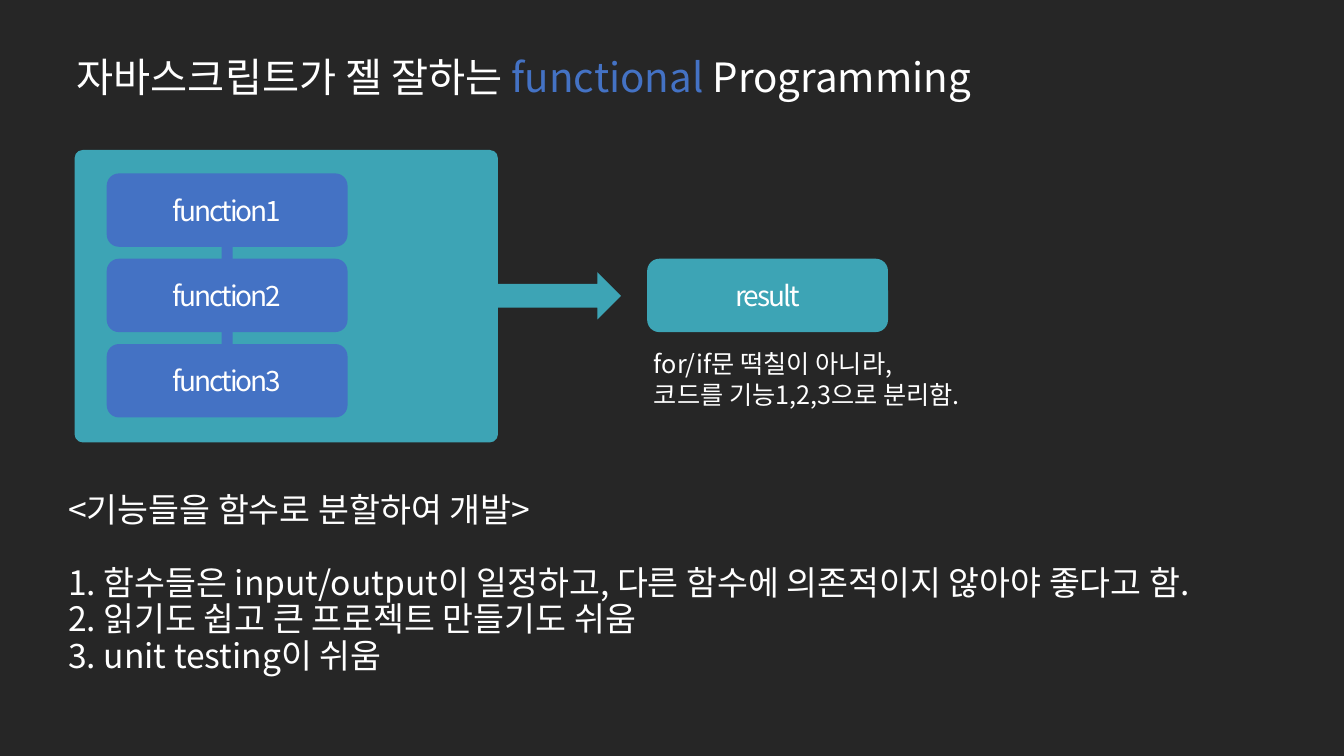
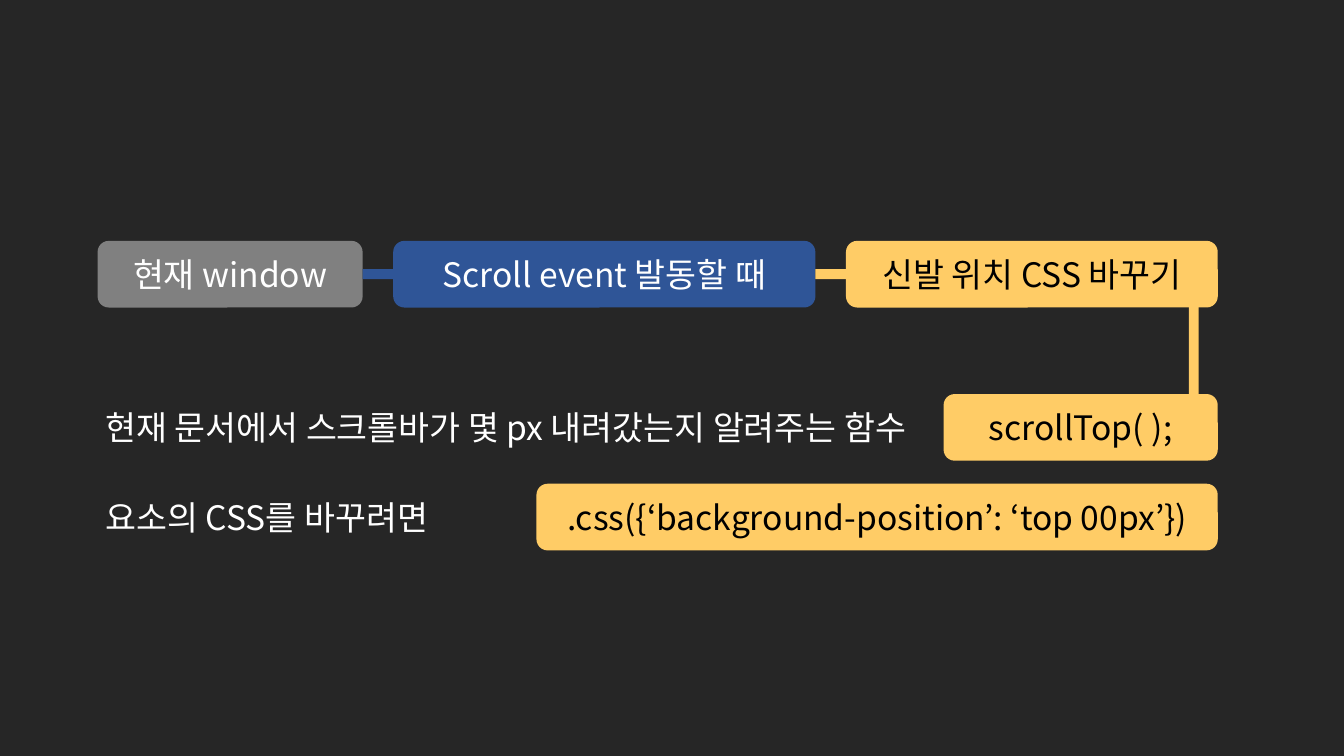
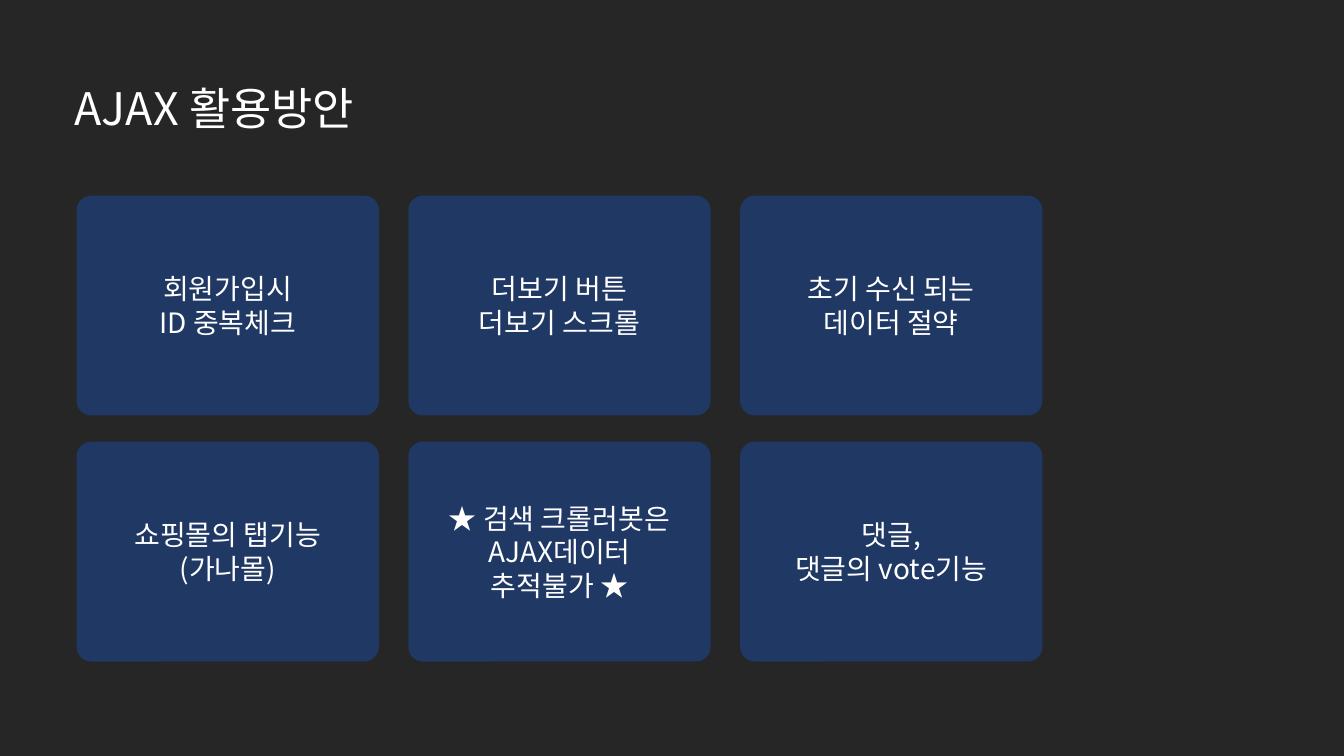
from lxml import etree
from pptx import Presentation
from pptx.dml.color import RGBColor
from pptx.enum.shapes import MSO_SHAPE
from pptx.enum.text import MSO_ANCHOR, MSO_AUTO_SIZE, PP_ALIGN
from pptx.oxml.ns import qn
from pptx.util import Cm, Pt

ROUND, RECT, ARROW = (MSO_SHAPE.ROUNDED_RECTANGLE, MSO_SHAPE.RECTANGLE,
                      MSO_SHAPE.RIGHT_ARROW)
TOP, MIDDLE = MSO_ANCHOR.TOP, MSO_ANCHOR.MIDDLE
LEFT, CENTER = PP_ALIGN.LEFT, PP_ALIGN.CENTER
NO_FIT = MSO_AUTO_SIZE.NONE
TITLE_ONLY, BLANK = 5, 6

# Shared look
FONT = "Noto Sans CJK KR"
DARK = RGBColor(0x26, 0x26, 0x26)
WHITE = RGBColor(0xFF, 0xFF, 0xFF)
BLACK = RGBColor(0x00, 0x00, 0x00)
BLUE = RGBColor(0x44, 0x72, 0xC4)
TEAL = RGBColor(0x3D, 0xA4, 0xB5)
GRAY = RGBColor(0x80, 0x80, 0x80)
ROYAL = RGBColor(0x2F, 0x55, 0x97)
NAVY = RGBColor(0x20, 0x38, 0x64)
YELLOW = RGBColor(0xFF, 0xCC, 0x66)

# Content: a line is a string or a list of (text, colour) runs
FP_TITLE = [("자바스크립트가 젤 잘하는 ", WHITE), ("functional", BLUE),
            (" Programming", WHITE)]
FUNCTIONS = ["function1", "function2", "function3"]
FP_NOTE = ["for/if문 떡칠이 아니라,", "코드를 기능1,2,3으로 분리함."]
FP_HEADING = "<기능들을 함수로 분할하여 개발>"
FP_POINTS = [
    "1. 함수들은 input/output이 일정하고, 다른 함수에 의존적이지 않아야 좋다고 함.",
    "2. 읽기도 쉽고 큰 프로젝트 만들기도 쉬움",
    "3. unit testing이 쉬움",
]
SCROLL_STEPS = [  # text, width, fill, text colour
    ("현재 window", 6.68, GRAY, WHITE),
    ("Scroll event 발동할 때", 10.64, ROYAL, WHITE),
    ("신발 위치 CSS 바꾸기", 9.37, YELLOW, BLACK),
]
SCROLL_CODE = [  # code, top, width, explanation, explanation width
    ("scrollTop( );", 9.93, 6.91,
     "현재 문서에서 스크롤바가 몇 px 내려갔는지 알려주는 함수", 20.88),
    (".css({‘background-position’: ‘top 00px’})", 12.19, 17.17,
     "요소의 CSS를 바꾸려면", 8.79),
]
AJAX_TITLE = "AJAX 활용방안"
AJAX_USES = [
    ["회원가입시", "ID 중복체크"],
    ["더보기 버튼", "더보기 스크롤"],
    ["초기 수신 되는", "데이터 절약"],
    ["쇼핑몰의 탭기능", "(가나몰)"],
    ["★ 검색 크롤러봇은", "AJAX데이터", "추적불가 ★"],
    ["댓글,", "댓글의 vote기능"],
]


def write(shape, lines, size, color=WHITE, align=LEFT, anchor=MIDDLE,
          line_spacing=None, tracking=None):
    tf = shape.text_frame
    frame_format = {"word_wrap": True, "auto_size": NO_FIT, "vertical_anchor": anchor}
    for name, value in frame_format.items():
        setattr(tf, name, value)
    for i, line in enumerate(lines):
        p = tf.add_paragraph() if i else tf.paragraphs[0]
        p.alignment = align
        if line_spacing:
            p.line_spacing = line_spacing
        for text, run_color in [(line, color)] if isinstance(line, str) else line:
            r = p.add_run()
            r.text = text
            for name, value in {"size": Pt(size), "name": FONT, "bold": False}.items():
                setattr(r.font, name, value)
            r.font.color.rgb = run_color
            rpr = r.font._element
            etree.SubElement(rpr, qn("a:ea"), typeface=FONT)
            if tracking:
                rpr.set("spc", str(tracking))
    return tf


def add_block(s, kind, x, y, w, h, fill, adj=None):
    sp = s.shapes.add_shape(kind, Cm(x), Cm(y), Cm(w), Cm(h))
    sp.shadow.inherit = False
    sp.fill.solid()
    sp.fill.fore_color.rgb = fill
    sp.line.fill.background()
    if adj is not None:
        sp.adjustments[0] = adj
    return sp


def add_text(s, x, y, w, h, lines, size, **fmt):
    return write(s.shapes.add_textbox(Cm(x), Cm(y), Cm(w), Cm(h)), lines, size, **fmt)


def set_title(s, x, y, w, h, line, size, **fmt):
    title = s.shapes.title
    for name, value in zip(("left", "top", "width", "height"), (x, y, w, h)):
        setattr(title, name, Cm(value))
    write(title, [line], size, **fmt)


def functional_slide(prs):
    s = prs.slides.add_slide(prs.slide_layouts[TITLE_ONLY])
    set_title(s, 1.68, 0.86, 25.25, 2.29, FP_TITLE, 28.8, line_spacing=0.9)
    label = {"size": 20, "align": CENTER, "tracking": -150}
    x, y, w, h, gap = 2.69, 4.37, 6.07, 1.85, 0.3
    link_w, link_h = 0.28, 0.97

    # Panel of linked functions
    add_block(s, ROUND, 1.88, 3.78, 10.67, 7.37, TEAL, 0.028)
    for i, name in enumerate(FUNCTIONS):
        top = y + i * (h + gap)
        if i:
            add_block(s, RECT, x + (w - link_w) / 2, top - (gap + link_h) / 2,
                      link_w, link_h, BLUE)
        write(add_block(s, ROUND, x, top, w, h, BLUE), [name], **label)

    # Arrow to the result
    add_block(s, ARROW, 12.47, 6.86, 3.18, 1.19, TEAL)
    result = add_block(s, ROUND, 16.31, y + h + gap, w, h, TEAL)
    write(result, ["result"], **label)
    add_text(s, 16.23, 8.66, 8.41, 1.8, FP_NOTE, 18, anchor=TOP)

    # Summary
    tf = add_text(s, 1.47, 12.09, 31.98, 5.28, [FP_HEADING, *FP_POINTS], 24,
                  line_spacing=0.9)
    tf.paragraphs[1].space_before = Pt(26)


def scroll_slide(prs):
    s = prs.slides.add_slide(prs.slide_layouts[BLANK])
    x, y, h, gap, bar = 2.46, 6.07, 1.68, 0.77, 0.25

    # Chain of steps
    for i, (text, w, fill, color) in enumerate(SCROLL_STEPS):
        if i:
            add_block(s, RECT, x - gap, y + (h - bar) / 2, gap, bar, fill)
        write(add_block(s, ROUND, x, y, w, h, fill), [text], 24, color, CENTER)
        x += w + gap
    right = x - gap

    # Code under the last step, each with its explanation
    add_block(s, RECT, right - 0.73, 7.04, bar, 4.52, YELLOW)
    for code, top, w, text, text_w in SCROLL_CODE:
        write(add_block(s, ROUND, right - w, top, w, h, YELLOW), [code], 24,
              BLACK, CENTER)
        add_text(s, 2.41, top + 0.2, text_w, 1.27, [text], 24, anchor=TOP)


def ajax_slide(prs):
    s = prs.slides.add_slide(prs.slide_layouts[TITLE_ONLY])
    set_title(s, 1.63, 1.24, 30.84, 2.46, AJAX_TITLE, 32, anchor=TOP,
              line_spacing=1.5)
    x, y, w, h, gap_x, gap_y, columns = 1.93, 4.93, 7.62, 5.54, 0.74, 0.66, 3
    for i, lines in enumerate(AJAX_USES):
        row, col = divmod(i, columns)
        card = add_block(s, ROUND, x + col * (w + gap_x), y + row * (h + gap_y),
                         w, h, NAVY, 0.067)
        write(card, lines, 20, align=CENTER)


def main():
    prs = Presentation()
    prs.slide_width, prs.slide_height = Cm(33.87), Cm(19.05)
    background = prs.slide_master.background.fill
    background.solid()
    background.fore_color.rgb = DARK
    for build in (functional_slide, scroll_slide, ajax_slide):
        build(prs)
    prs.save("out.pptx")


if __name__ == "__main__":
    main()
